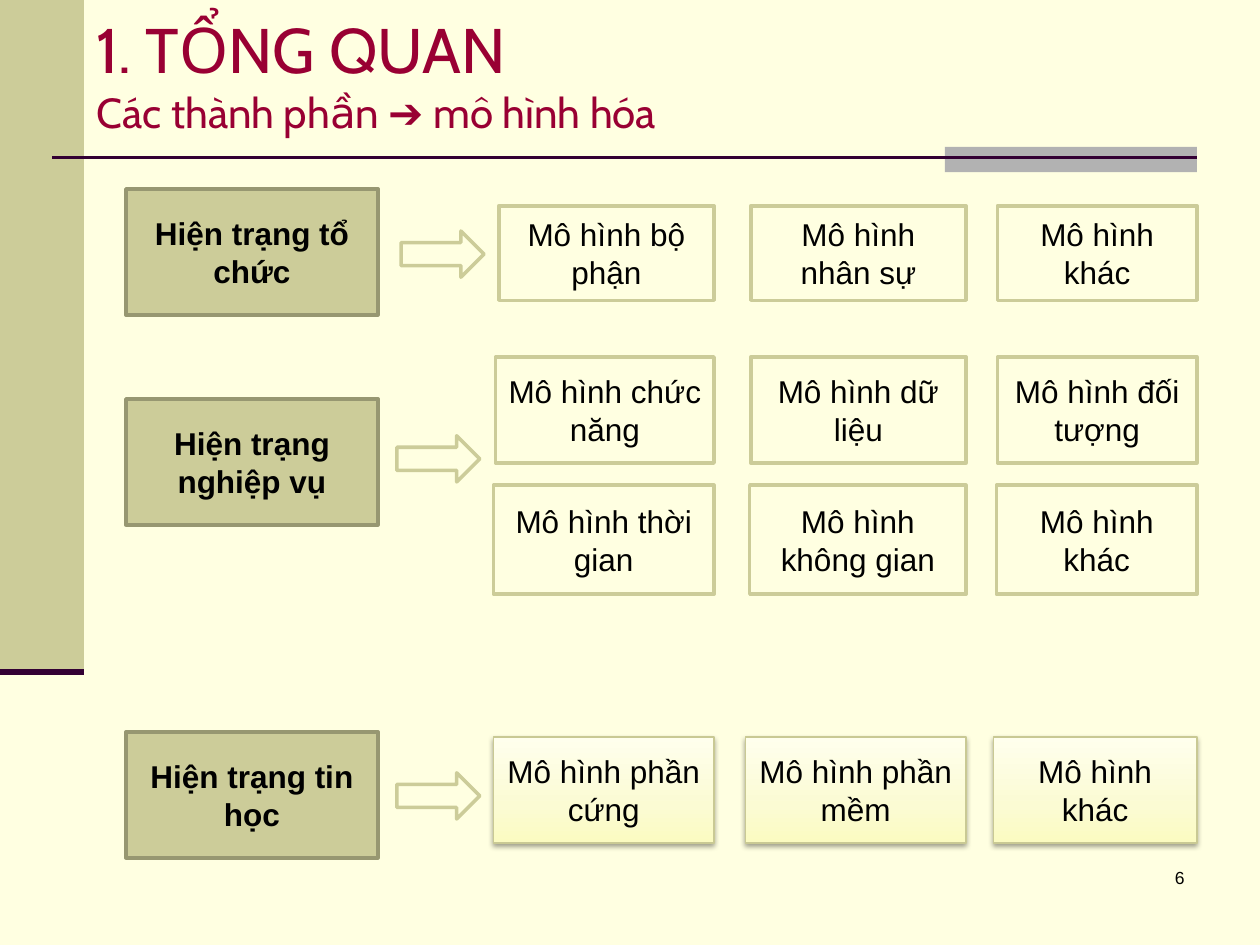
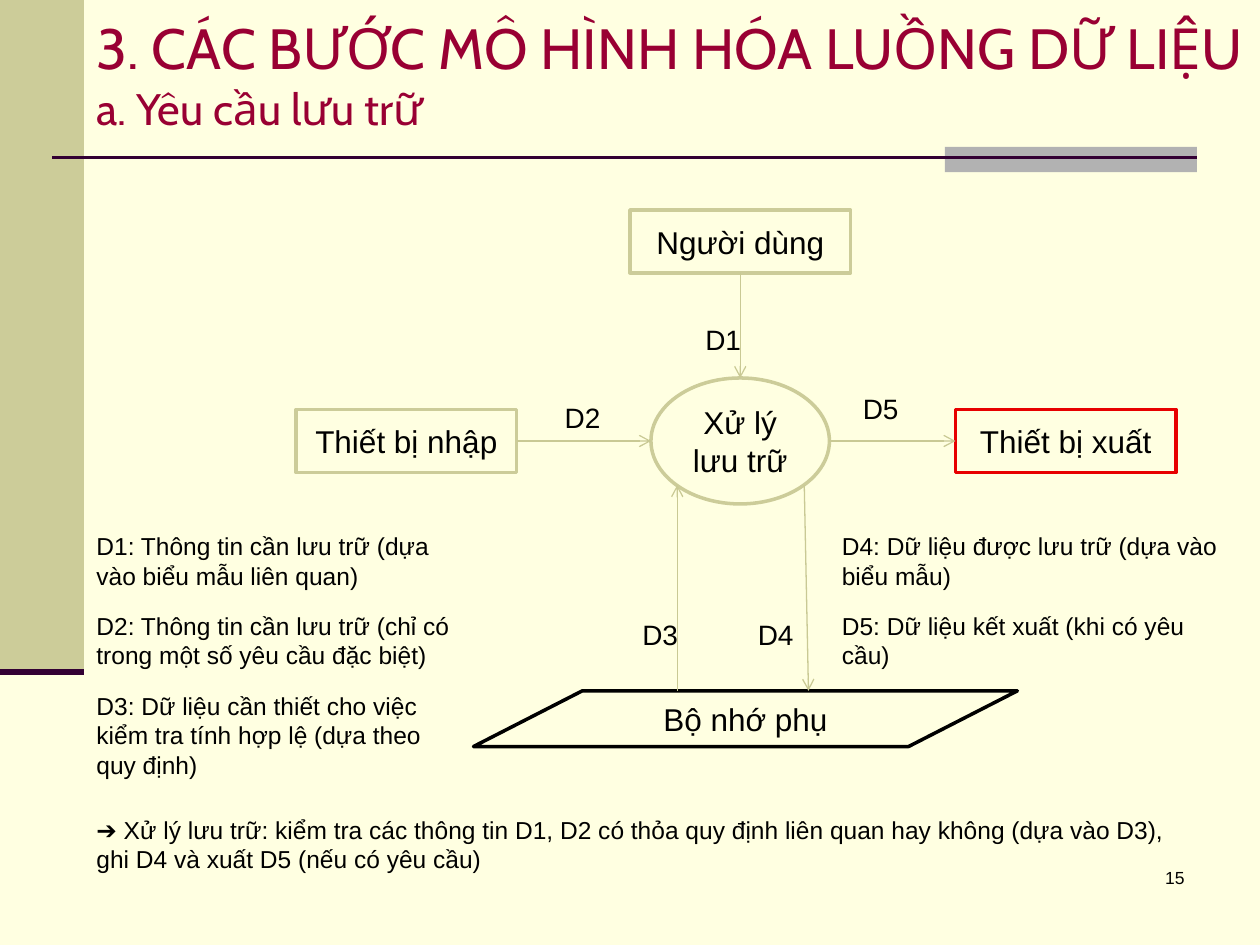
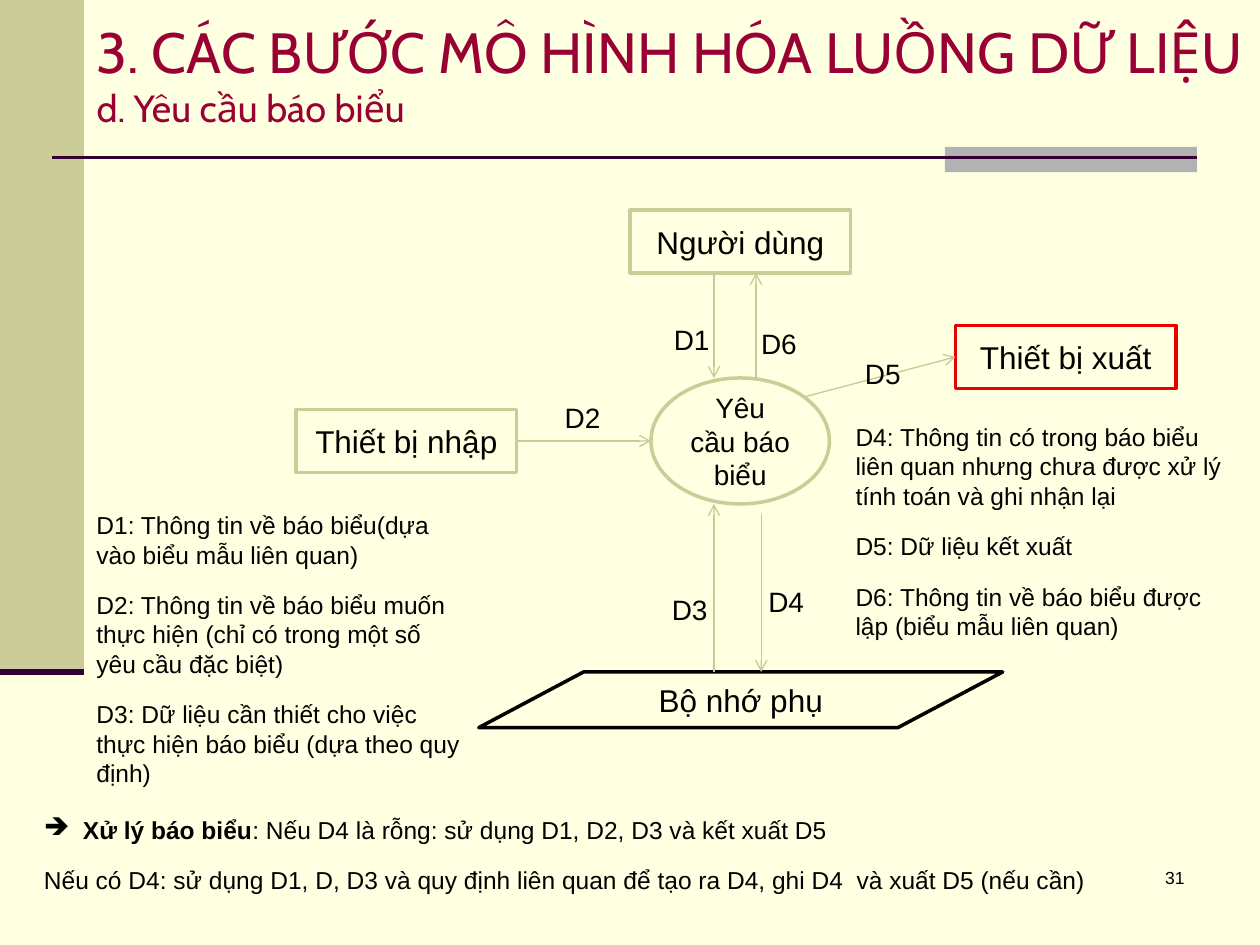
from copy import deepcopy

from lxml import etree
from pptx import Presentation
from pptx.dml.color import RGBColor
from pptx.enum.shapes import MSO_CONNECTOR, MSO_SHAPE
from pptx.enum.text import MSO_ANCHOR, MSO_AUTO_SIZE, PP_ALIGN
from pptx.oxml.ns import qn
from pptx.util import Inches, Pt

RECTANGLE = MSO_SHAPE.RECTANGLE
ELLIPSE = MSO_SHAPE.OVAL
ARROW = MSO_SHAPE.RIGHT_ARROW
STORE = MSO_SHAPE.FLOWCHART_DATA
STRAIGHT = MSO_CONNECTOR.STRAIGHT
LEFT, CENTER, RIGHT = PP_ALIGN.LEFT, PP_ALIGN.CENTER, PP_ALIGN.RIGHT
MIDDLE = MSO_ANCHOR.MIDDLE
FIXED, GROW = MSO_AUTO_SIZE.NONE, MSO_AUTO_SIZE.SHAPE_TO_FIT_TEXT

WIDTH, HEIGHT = Inches(10), Inches(7.5)
COLUMNS, ROWS = 120, 90
TITLE_ONLY = 5
SIDE_TOP, SIDE_LEFT, SIDE_BOTTOM, SIDE_RIGHT = range(4)

PAPER, OLIVE, OLIVE_EDGE = "FFFFE1", "CCCC99", "979771"
FLOW, PLUM, GRAY = "C9C994", "330033", "B2B2B2"
CRIMSON, RED, BLACK = "990033", "E70000", "000000"
GLOW = [(0, "FBFBC1"), (0.35, "FBFBD3"), (1, "FFFFED")]


def color(value):
    return RGBColor.from_string(value)


def column(value):
    return round(WIDTH * value / COLUMNS)


def row(value):
    return round(HEIGHT * value / ROWS)


def area(left, top, width, height):
    return column(left), row(top), column(width), row(height)


class Deck:
    text_font, title_font = "Arial", "Cabin"

    def __init__(self):
        self.file = Presentation()
        self.file.slide_width, self.file.slide_height = WIDTH, HEIGHT
        background = self.file.slide_master.background.fill
        background.solid()
        background.fore_color.rgb = color(PAPER)

    def start(self, heading, subheading, sizes, number):
        layout = self.file.slide_layouts[TITLE_ONLY]
        self.slide = self.file.slides.add_slide(layout)
        self.box((0, 0, 8, 64), fill=OLIVE)
        self.box((90, 14, 24, 2.4), fill=GRAY)
        self.line((5, 15), (114, 15), PLUM, 1.5)
        self.line((0, 64), (8, 64), PLUM, 3.5)
        self.title(heading, subheading, sizes)
        self.text((89, 82, 25, 6), [number], 10, align=RIGHT, auto_size=FIXED)

    def style(self, run, size, bold=False, tint=BLACK, face=text_font):
        run.font.name, run.font.size, run.font.bold = face, Pt(size), bold
        run.font.color.rgb = color(tint)

    def title(self, heading, subheading, sizes):
        title = self.slide.shapes.title
        title.left, title.top, title.width, title.height = area(8, 0, 112, 14)
        frame = title.text_frame
        frame.text = f"{heading}\v{subheading}"
        frame.word_wrap, frame.auto_size = True, FIXED
        frame.vertical_anchor = MIDDLE
        paragraph = frame.paragraphs[0]
        paragraph.alignment = LEFT
        for run, size in zip(paragraph.runs, sizes):
            self.style(run, size, tint=CRIMSON, face=self.title_font)
        line_break = paragraph._p.find(qn("a:br"))
        line_break.insert(0, deepcopy(paragraph.runs[0].font._element))

    def box(self, place, text="", kind=RECTANGLE, fill=PAPER, edge=None,
            size=18, bold=False):
        shape = self.slide.shapes.add_shape(kind, *area(*place))
        shape.shadow.inherit = False
        shape.fill.solid()
        shape.fill.fore_color.rgb = color(fill)
        if edge:
            shape.line.color.rgb = color(edge)
            shape.line.width = Pt(2)
        else:
            shape.line.fill.background()
        if text:
            shape.text_frame.text = text
            paragraph = shape.text_frame.paragraphs[0]
            paragraph.alignment = CENTER
            self.style(paragraph.runs[0], size, bold)
        return shape

    def glowing_box(self, place, text):
        shape = self.box(place, text, edge=FLOW)
        shape.line.width = Pt(0.75)
        shape.fill.gradient()
        shape.fill.gradient_angle = 90
        properties = shape._element.spPr
        stop_list = properties.find(".//" + qn("a:gsLst"))
        stop_list.insert(1, deepcopy(stop_list[0]))
        for stop, (position, tint) in zip(shape.fill.gradient_stops, GLOW):
            stop.position, stop.color.rgb = position, color(tint)
        shadow = etree.SubElement(
            properties.find(qn("a:effectLst")), qn("a:outerShdw"),
            blurRad=str(Pt(3.1)), dist=str(Pt(1.6)), dir="5400000", rotWithShape="0")
        tint = etree.SubElement(shadow, qn("a:srgbClr"), val=BLACK)
        etree.SubElement(tint, qn("a:alpha"), val="38000")

    def line(self, start, end, tint, width):
        line = self.slide.shapes.add_connector(
            STRAIGHT, column(start[0]), row(start[1]), column(end[0]), row(end[1]))
        line.line.color.rgb = color(tint)
        line.line.width = Pt(width)
        etree.SubElement(line._element.spPr, qn("a:effectLst"))
        return line

    def flow(self, start, end, source=None, target=None):
        flow = self.line(start, end, FLOW, 0.75)
        outline = flow._element.spPr.find(qn("a:ln"))
        etree.SubElement(outline, qn("a:tailEnd"), type="arrow")
        if source:
            flow.begin_connect(*source)
        if target:
            flow.end_connect(*target)

    def text(self, place, paragraphs, size, align=LEFT, auto_size=GROW, lead=None):
        frame = self.slide.shapes.add_textbox(*area(*place)).text_frame
        frame.word_wrap, frame.auto_size = True, auto_size
        for index, content in enumerate(paragraphs):
            paragraph = frame.add_paragraph() if index else frame.paragraphs[0]
            paragraph.text = content
            if lead and index == 0:
                paragraph.text = lead
                paragraph.add_run().text = content
                self.bullet(paragraph, "➔")
            paragraph.alignment = align
            if len(paragraphs) > 1:
                paragraph.space_before = Pt(6 if index else 0)
                paragraph.space_after = Pt(6)
            for run in paragraph.runs:
                self.style(run, size, bold=run.text == lead)

    def bullet(self, paragraph, mark):
        properties = paragraph._p.get_or_add_pPr()
        properties.set("marL", str(Inches(0.31)))
        properties.set("indent", str(Inches(-0.31)))
        etree.SubElement(properties, qn("a:buChar"), char=mark)

    def labels(self, places):
        for name, (left, top) in places.items():
            self.text((left, top, 6, 4.4), [name], 16)

    def data_flow(self, process, process_size, output_top, store):
        self.box((62, 36, 17, 12), process, ELLIPSE, edge=OLIVE, size=process_size)
        source = self.box((28.2, 39, 21, 6), "Thiết bị nhập", edge=OLIVE)
        output = self.box((91, output_top, 21, 6), "Thiết bị xuất", edge=RED)
        user = self.box((60, 20, 21, 6), "Người dùng", edge=OLIVE)
        self.box(store, "Bộ nhớ phụ", STORE, edge=BLACK)
        self.flow((49.2, 42), (62, 42), source=(source, SIDE_RIGHT))
        return user, output


def overview(deck):
    deck.start("1. TỔNG QUAN", "Các thành phần ➔ mô hình hóa", (36, 24), "6")
    subjects = [
        ("Hiện trạng tổ chức", 18, (38.2, 22)),
        ("Hiện trạng nghiệp vụ", 38, (37.8, 41.5)),
        ("Hiện trạng tin học", 69.7, (37.8, 73.6)),
    ]
    for subject, top, arrow in subjects:
        deck.box((12, top, 24, 12), subject, fill=OLIVE, edge=OLIVE_EDGE, bold=True)
        deck.box((*arrow, 7.9, 4.4), kind=ARROW, edge=OLIVE)

    right_edges = (68, 92, 114)
    model_rows = [
        (19.6, 9, (47.5, 71.5, 95), ("bộ phận", "nhân sự", "khác")),
        (34, 10.1, (47.2, 71.5, 95), ("chức năng", "dữ liệu", "đối tượng")),
        (46.2, 10.4, (47, 71.4, 94.9), ("thời gian", "không gian", "khác")),
        (70.2, 10.1, (47, 71, 94.6), ("phần cứng", "phần mềm", "khác")),
    ]
    for top, height, lefts, models in model_rows:
        for left, right, model in zip(lefts, right_edges, models):
            place, name = (left, top, right - left, height), f"Mô hình {model}"
            if model_rows[-1][0] == top:
                deck.glowing_box(place, name)
            else:
                deck.box(place, name, edge=OLIVE)


def storage(deck):
    deck.start("3. CÁC BƯỚC MÔ HÌNH HÓA LUỒNG DỮ LIỆU", "a. Yêu cầu lưu trữ",
               (32.4, 25.2), "15")
    user, output = deck.data_flow("Xử lý lưu trữ", 18, 39, (45.1, 65.8, 51.8, 5.3))
    deck.flow((70.5, 26), (70.5, 36), source=(user, SIDE_BOTTOM))
    deck.flow((79, 42), (91, 42), target=(output, SIDE_LEFT))
    deck.flow((76.6, 46.2), (77, 65.8))
    deck.flow((64.5, 65.8), (64.5, 46.2))
    deck.labels({"D1": (66, 30.1), "D2": (52.6, 37.6), "D3": (60, 58.2),
                 "D4": (71, 58.2), "D5": (81, 36.7)})
    deck.text((8, 50, 36.1, 25.1), [
        "D1: Thông tin cần lưu trữ (dựa vào biểu mẫu liên quan)",
        "D2: Thông tin cần lưu trữ (chỉ có trong một số yêu cầu đặc biệt)",
        "D3: Dữ liệu cần thiết cho việc kiểm tra tính hợp lệ (dựa theo quy định)",
    ], 14)
    deck.text((79, 50, 39.1, 11.8), [
        "D4: Dữ liệu được lưu trữ (dựa vào biểu mẫu)",
        "D5: Dữ liệu kết xuất (khi có yêu cầu)",
    ], 14)
    deck.text((8, 77, 106, 6.8), [
        "➔ Xử lý lưu trữ: kiểm tra các thông tin D1, D2 có thỏa quy định liên quan "
        "hay không (dựa vào D3), ghi D4 và xuất D5 (nếu có yêu cầu)",
    ], 14)


def report(deck):
    deck.start("3. CÁC BƯỚC MÔ HÌNH HÓA LUỒNG DỮ LIỆU", "d. Yêu cầu báo biểu",
               (32.4, 21.6), "31")
    user, output = deck.data_flow("Yêu cầu báo biểu", 16, 31, (45.6, 64, 49.9, 5.3))
    deck.flow((68, 26), (68, 36))
    deck.flow((72, 36), (72, 26))
    deck.flow((76.6, 37.8), (91, 34), target=(output, SIDE_LEFT))
    deck.flow((68, 64), (68, 48))
    deck.flow((72.5, 49), (72.5, 64))
    deck.labels({"D1": (63, 30.1), "D2": (52.6, 37.6), "D3": (62.8, 55.8),
                 "D4": (72, 55.1), "D5": (81.2, 33.4), "D6": (71.3, 30.5)})
    deck.text((8, 48, 37.1, 27.8), [
        "D1: Thông tin về báo biểu(dựa vào biểu mẫu liên quan)",
        "D2: Thông tin về báo biểu muốn thực hiện (chỉ có trong một số yêu cầu đặc biệt)",
        "D3: Dữ liệu cần thiết cho việc thực hiện báo biểu (dựa theo quy định)",
    ], 14)
    deck.text((80.3, 39.6, 39.1, 22.2), [
        "D4: Thông tin có trong báo biểu liên quan nhưng chưa được xử lý tính toán "
        "và ghi nhận lại",
        "D5: Dữ liệu kết xuất",
        "D6: Thông tin về báo biểu được lập (biểu mẫu liên quan)",
    ], 14)
    deck.text((3, 77, 112, 8.9), [
        ": Nếu D4 là rỗng: sử dụng D1, D2, D3 và kết xuất D5",
        "Nếu có D4: sử dụng D1, D, D3 và quy định liên quan để tạo ra D4, ghi D4  và "
        "xuất D5 (nếu cần)",
    ], 14, lead="Xử lý báo biểu")


def main():
    deck = Deck()
    for build in (overview, storage, report):
        build(deck)
    deck.file.save("out.pptx")


if __name__ == "__main__":
    main()
